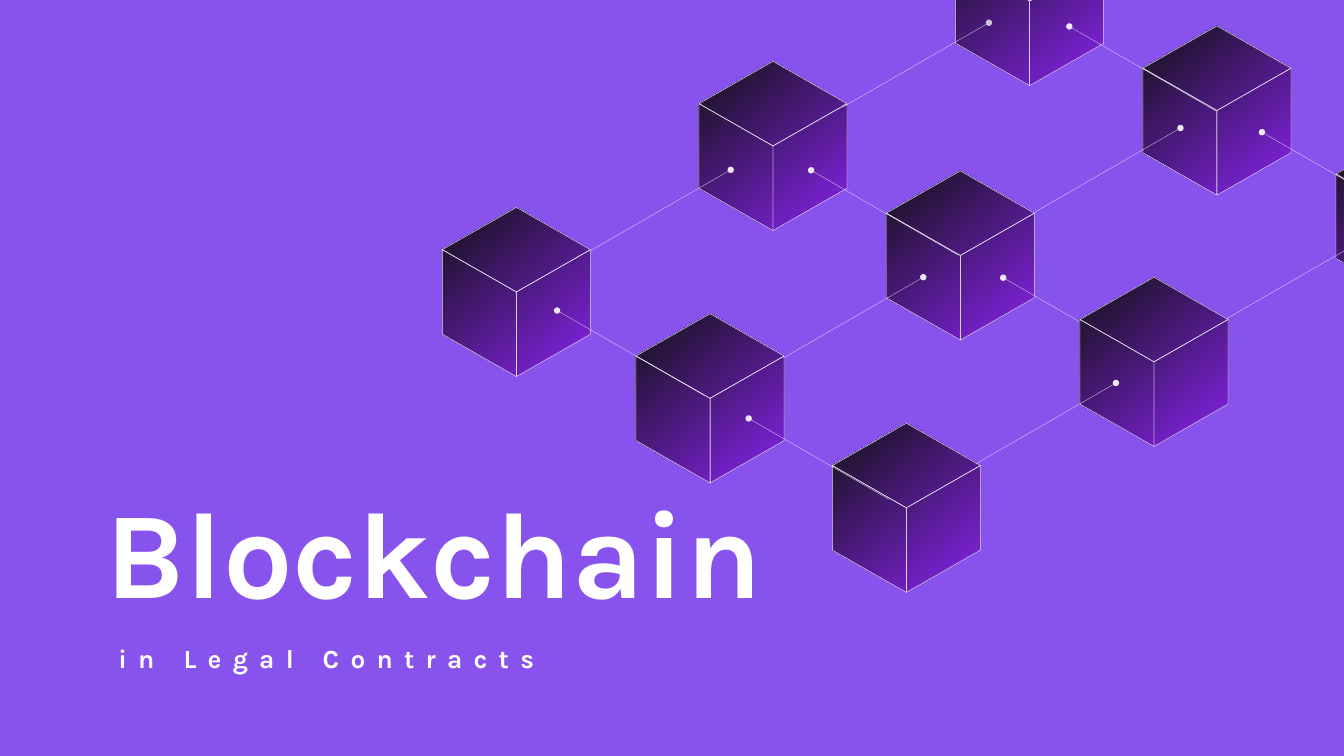
from dataclasses import dataclass
from math import radians, tan

from lxml import etree
from pptx import Presentation
from pptx.dml.color import RGBColor
from pptx.enum.shapes import MSO_CONNECTOR, MSO_SHAPE
from pptx.enum.text import MSO_ANCHOR
from pptx.oxml.ns import qn
from pptx.util import Cm, Pt

STRAIGHT = MSO_CONNECTOR.STRAIGHT
OVAL = MSO_SHAPE.OVAL
TOP, BOTTOM = MSO_ANCHOR.TOP, MSO_ANCHOR.BOTTOM
BLANK_LAYOUT = 6


@dataclass(frozen=True)
class Theme:
    """Colours, font and sizes of the slide."""
    background: str = "8853ED"
    cube_light: str = "8823ED"
    cube_dark: str = "131115"
    edge: str = "EAE9F4"
    dim_dot: str = "CAC7D8"
    text: str = "FFFFFF"
    font: str = "Karla"
    title_size: float = 66
    subtitle_size: float = 14
    edge_width: float = 0.26
    link_width: float = 0.13


@dataclass(frozen=True)
class Cube:
    """A cube placed by its topmost corner, in centimetres."""
    x: float
    y: float
    faces: tuple = ("left", "right", "top")


@dataclass(frozen=True)
class Link:
    """A 30 degree line falling from its dot; reach is its signed width."""
    x: float
    y: float
    reach: float
    dot: str = Theme.edge


@dataclass(frozen=True)
class Caption:
    """A line of text with its box, in centimetres."""
    text: str
    left: float
    top: float
    width: float
    height: float
    size: float
    anchor: int
    spacing: int = 0
    space_before: float = 0


THEME = Theme()
HALF, STEP = 1.4, 0.8
DOT = 0.12
LONG, SHORT = 2.77, 2.65
SLOPE = tan(radians(30))

# Corners in units of HALF and STEP from the topmost corner.
OUTLINE = ((0, 0), (-1, 1), (-1, 3), (0, 4), (1, 3), (1, 1))
FACES = {
    "left": ((0, 4), (-1, 3), (-1, 1), (0, 2)),
    "right": ((0, 4), (1, 3), (1, 1), (0, 2)),
    "top": ((1, 1), (0, 2), (-1, 1), (0, 0)),
}

CUBES = (
    Cube(9.76, 3.92), Cube(13.42, 5.93), Cube(17.13, 8), Cube(18.15, 3.23),
    Cube(14.61, 1.16), Cube(21.81, 5.24), Cube(23, 0.49), Cube(19.46, -1.58),
    Cube(26.65, 2.49, ("left", "top")),
)
LINKS = (
    Link(25.96, 4.42, -LONG, ""), Link(21.09, 7.24, -SHORT),
    Link(22.31, 2.42, -LONG), Link(17.45, 5.24, -SHORT),
    Link(10.53, 5.87, LONG), Link(14.15, 7.91, SHORT),
    Link(15.33, 3.22, LONG), Link(18.96, 5.25, 1.43),
    Link(20.21, 0.5, LONG), Link(23.85, 2.5, SHORT),
    Link(18.69, 0.43, -LONG, THEME.dim_dot), Link(13.81, 3.21, -SHORT),
)
CAPTIONS = (
    Caption("Blockchain", 2, 8.2, 13.44, 3.58, THEME.title_size, BOTTOM),
    Caption("in Legal Contracts", 2.24, 12.14, 14.7, 0.72,
            THEME.subtitle_size, TOP, spacing=600, space_before=2.8),
)


def color(code: str) -> RGBColor:
    """Turn a hex code into a colour."""
    return RGBColor.from_string(code)


def draw_polygon(page, cube: Cube, corners: tuple):
    """Draw a closed outline on the corner grid of a cube."""
    points = [(Cm(cube.x + HALF * across), Cm(cube.y + STEP * down))
              for across, down in corners]
    builder = page.shapes.build_freeform(*points[0])
    builder.add_line_segments(points[1:], close=True)
    shape = builder.convert_to_shape()
    shape.shadow.inherit = False
    return shape


def draw_body(page, cube: Cube) -> None:
    """Draw the shaded silhouette of a cube."""
    body = draw_polygon(page, cube, OUTLINE)
    body.line.fill.background()
    body.fill.gradient()
    body.fill.gradient_angle = 130
    for stop, code in zip(body.fill.gradient_stops,
                          (THEME.cube_light, THEME.cube_dark)):
        stop.color.rgb = color(code)


def draw_edges(page, cube: Cube) -> None:
    """Outline the visible faces of a cube."""
    for name in cube.faces:
        face = draw_polygon(page, cube, FACES[name])
        face.fill.background()
        face.line.color.rgb = color(THEME.edge)
        face.line.width = Pt(THEME.edge_width)


def draw_link(page, link: Link) -> None:
    """Draw a link line and the dot at its upper end."""
    line = page.shapes.add_connector(
        STRAIGHT, Cm(link.x), Cm(link.y), Cm(link.x + link.reach),
        Cm(link.y + abs(link.reach) * SLOPE))
    line.line.color.rgb = color(THEME.edge)
    line.line.width = Pt(THEME.link_width)
    etree.SubElement(line._element.spPr, qn("a:effectLst"))
    if link.dot:
        dot = page.shapes.add_shape(OVAL, Cm(link.x - DOT / 2),
                                    Cm(link.y - DOT / 2), Cm(DOT), Cm(DOT))
        dot.shadow.inherit = False
        dot.fill.solid()
        dot.fill.fore_color.rgb = color(link.dot)
        dot.line.fill.background()


def draw_caption(page, caption: Caption) -> None:
    """Write a caption in a box without margins."""
    box = page.shapes.add_textbox(Cm(caption.left), Cm(caption.top),
                                  Cm(caption.width), Cm(caption.height))
    frame = box.text_frame
    frame.word_wrap = True
    frame.vertical_anchor = caption.anchor
    frame.margin_left = frame.margin_right = 0
    frame.margin_top = frame.margin_bottom = 0
    frame.text = caption.text
    para = frame.paragraphs[0]
    para.space_before = Pt(caption.space_before)
    span = para.runs[0]
    span.font.name = THEME.font
    span.font.size = Pt(caption.size)
    span.font.bold = True
    span.font.color.rgb = color(THEME.text)
    if caption.spacing:
        span._r.get_or_add_rPr().set("spc", str(caption.spacing))


def build() -> None:
    """Build and save the deck."""
    deck = Presentation()
    deck.slide_width, deck.slide_height = Cm(25.4), Cm(14.29)
    page = deck.slides.add_slide(deck.slide_layouts[BLANK_LAYOUT])
    page.background.fill.solid()
    page.background.fill.fore_color.rgb = color(THEME.background)
    for draw, items in ((draw_body, CUBES), (draw_edges, CUBES),
                        (draw_link, LINKS), (draw_caption, CAPTIONS)):
        for item in items:
            draw(page, item)
    deck.save("out.pptx")


build()
